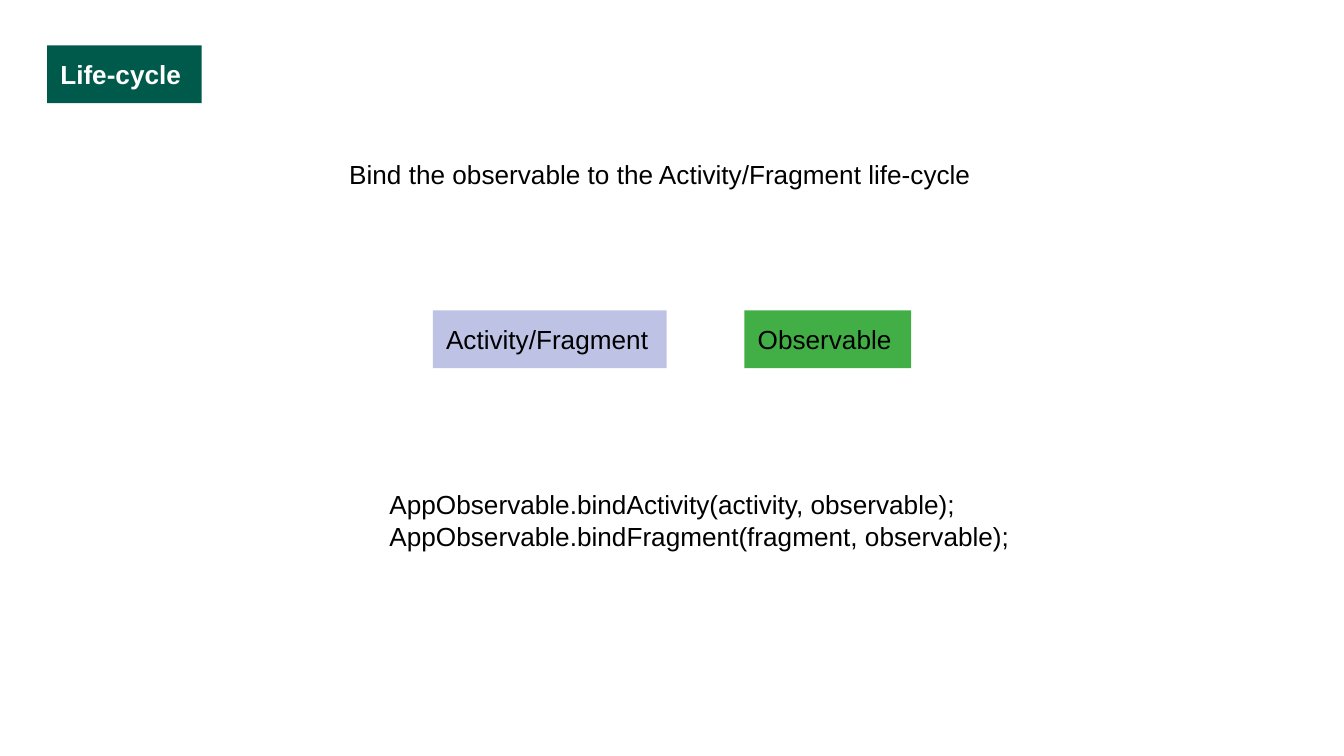
"""Build the slide on binding an observable to a life-cycle."""
from pptx import Presentation
from pptx.dml.color import RGBColor
from pptx.enum import shapes, text
from pptx.util import Cm, Pt

DARK_GREEN = RGBColor(0x00, 0x5A, 0x4B)
LAVENDER = RGBColor(0xBE, 0xC3, 0xE6)
GREEN = RGBColor(0x41, 0xAF, 0x46)
WHITE = RGBColor(0xFF, 0xFF, 0xFF)
BLACK = RGBColor(0x00, 0x00, 0x00)
LABEL_HEIGHT = 1.09
TEXT_HEIGHT = 0.97


def write_text(shape, lines, color=BLACK, bold=False):
    """Fill a shape with left-aligned paragraphs."""
    frame = shape.text_frame
    frame.word_wrap = True
    frame.auto_size = text.MSO_AUTO_SIZE.NONE
    frame.vertical_anchor = text.MSO_ANCHOR.TOP
    frame.margin_left = frame.margin_right = Cm(0.25)
    frame.margin_top = frame.margin_bottom = Cm(0.25)
    frame.text = "\n".join(lines)
    for paragraph in frame.paragraphs:
        paragraph.alignment = text.PP_ALIGN.LEFT
        paragraph.space_before = Pt(0)
        paragraph.font.name = "Arial"
        paragraph.font.size = Pt(14)
        paragraph.font.bold = bold
        paragraph.font.color.rgb = color


def format_title(slide, title):
    """Place the title as a filled label."""
    shape = slide.shapes.title
    shape.left, shape.top = Cm(0.89), Cm(0.86)
    shape.width, shape.height = Cm(2.92), Cm(LABEL_HEIGHT)
    shape.fill.solid()
    shape.fill.fore_color.rgb = DARK_GREEN
    write_text(shape, [title], WHITE, bold=True)


def add_label(slide, left, width, fill, label):
    """Add a filled rectangle in the middle row."""
    shape = slide.shapes.add_shape(
        shapes.MSO_SHAPE.RECTANGLE, Cm(left), Cm(5.87), Cm(width), Cm(LABEL_HEIGHT)
    )
    shape.shadow.inherit = False
    shape.fill.solid()
    shape.fill.fore_color.rgb = fill
    shape.line.fill.background()
    write_text(shape, [label])


def add_text(slide, left, top, width, lines):
    """Add a plain text box."""
    box = slide.shapes.add_textbox(Cm(left), Cm(top), Cm(width), Cm(TEXT_HEIGHT))
    write_text(box, lines)


def main():
    """Create and save the presentation."""
    presentation = Presentation()
    presentation.slide_width, presentation.slide_height = Cm(25.4), Cm(14.29)
    slide = presentation.slides.add_slide(presentation.slide_layouts[5])
    format_title(slide, "Life-cycle")
    add_text(slide, 6.35, 2.74, 12.73,
             ["Bind the observable to the Activity/Fragment life-cycle"])
    add_label(slide, 8.18, 4.42, LAVENDER, "Activity/Fragment")
    add_label(slide, 14.07, 3.15, GREEN, "Observable")
    add_text(slide, 7.11, 8.99, 12.42, [
        "AppObservable.bindActivity(activity, observable);",
        "AppObservable.bindFragment(fragment, observable);",
    ])
    presentation.save("out.pptx")


if __name__ == "__main__":
    main()
